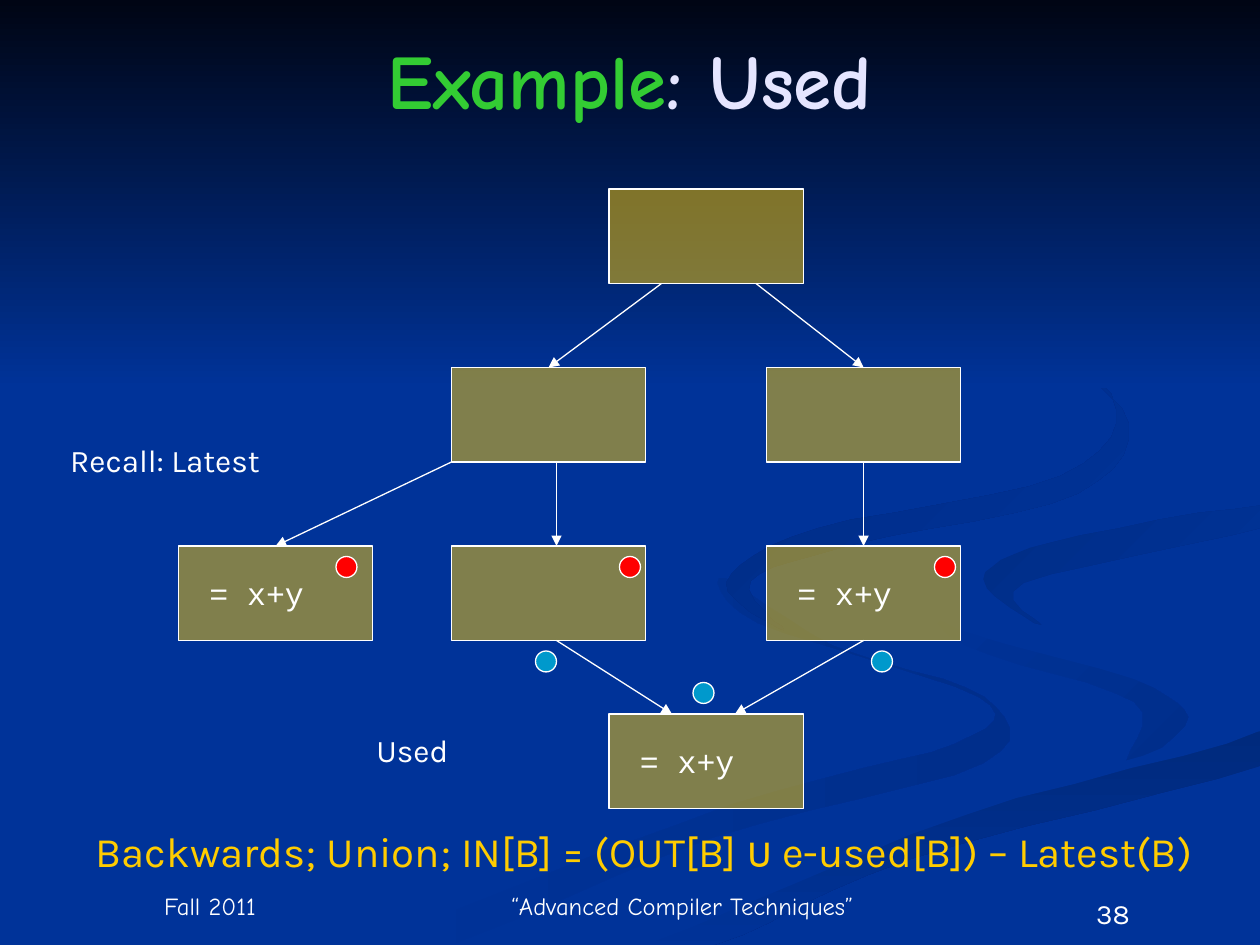
from pptx import Presentation
from pptx.dml.color import RGBColor
from pptx.enum.shapes import MSO_CONNECTOR, MSO_SHAPE
from pptx.enum.text import MSO_ANCHOR, PP_ALIGN
from pptx.oxml import parse_xml
from pptx.oxml.ns import nsdecls
from pptx.util import Pt

WHITE, GOLD, NAVY, RED, CYAN = "FFFFFF", "FFCC00", "003399", "FF0000", "0099CC"
TOP, BOTTOM = 0, 2
NODE_W, NODE_H, DOT = 111, 54, 12
COLUMN, HALF_COLUMN, ROW = 180, 90, 102

# Backdrop ribbons: knots of a smooth outline, gradient start, gradient end, angle
RIBBONS = [
    ([(562, 398), (476, 369), (414, 330), (433, 356), (559, 398), (546, 425), (417, 460),
      (216, 539), (260, 539), (406, 479), (562, 436)], NAVY, "002E8B", 0),
    ([(679, 410), (639, 385), (546, 359), (521, 334), (552, 369), (648, 401), (644, 436)],
     NAVY, "002E8B", 45),
    ([(362, 539), (411, 539), (520, 491), (719, 438), (719, 418), (550, 466)],
     "002A7D", NAVY, 90),
    ([(522, 334), (546, 359), (662, 394), (670, 425), (507, 472), (343, 539), (374, 538),
      (551, 466), (719, 418), (719, 387), (599, 359), (576, 318), (719, 289), (719, 279),
      (567, 304)], NAVY, NAVY, 0),
    ([(562, 331), (595, 357), (585, 333), (719, 302), (719, 289), (601, 310)],
     "002D86", NAVY, 45),
    ([(492, 310), (616, 282), (641, 233), (549, 168), (635, 225), (606, 272), (467, 302),
      (415, 333), (448, 360), (429, 332)], "002B82", NAVY, 45),
]


def rgb(value):
    return RGBColor.from_string(value)


def smooth_outline(knots, steps=6):
    """Closed Catmull-Rom curve through the knots."""
    points = []
    for i, p1 in enumerate(knots):
        p0, p2, p3 = (knots[(i + k) % len(knots)] for k in (-1, 1, 2))
        for t in (step / steps for step in range(steps)):
            points.append(tuple(
                b + t * ((c - a) + t * ((2 * a - 5 * b + 4 * c - d)
                                        + t * (3 * b - a - 3 * c + d))) / 2
                for a, b, c, d in zip(p0, p1, p2, p3)))
    return points


def paint_gradient(shape, start, end, angle):
    shape.shadow.inherit = False
    shape.line.fill.background()
    shape.fill.gradient()
    shape.fill.gradient_angle = (360 - angle) % 360
    for stop, color in zip(shape.fill.gradient_stops, (start, end)):
        stop.color.rgb = rgb(color)


def add_outlined(slide, kind, left, top, width, height, color):
    shape = slide.shapes.add_shape(kind, Pt(left), Pt(top), Pt(width), Pt(height))
    shape.shadow.inherit = False
    shape.fill.solid()
    shape.fill.fore_color.rgb = rgb(color)
    shape.line.color.rgb = rgb(WHITE)
    shape.line.width = Pt(0.75)
    return shape


def add_text(slide, box, runs, size, font="Karla", color=WHITE, align=PP_ALIGN.LEFT,
             anchor=MSO_ANCHOR.TOP, wrap=False):
    """Place one paragraph; runs are (text, overrides of the paragraph font)."""
    frame = slide.shapes.add_textbox(*map(Pt, box)).text_frame
    frame.word_wrap = wrap
    frame.vertical_anchor = anchor
    paragraph = frame.paragraphs[0]
    paragraph.alignment = align
    paragraph.font.size = Pt(size)
    paragraph.font.name = font
    paragraph.font.color.rgb = rgb(color)
    for text, overrides in runs:
        run = paragraph.add_run()
        run.text = text
        if "font" in overrides:
            run.font.name = overrides["font"]
        if "color" in overrides:
            run.font.color.rgb = rgb(overrides["color"])
    return paragraph


def add_backdrop(slide, width, height):
    slide.background.fill.solid()
    slide.background.fill.fore_color.rgb = rgb(NAVY)
    for knots, start, end, angle in RIBBONS:
        outline = smooth_outline(knots)
        builder = slide.shapes.build_freeform(*outline[0], scale=Pt(1))
        builder.add_line_segments(outline[1:], close=True)
        paint_gradient(builder.convert_to_shape(), start, end, angle)
    # Dark fade across the top
    fade = slide.shapes.add_shape(MSO_SHAPE.RECTANGLE, 0, 0, Pt(width), Pt(height))
    paint_gradient(fade, "000514", NAVY, 90)


def add_node(slide, left, top, expression):
    node = add_outlined(slide, MSO_SHAPE.RECTANGLE, left, top, NODE_W, NODE_H, GOLD)
    node.fill._xPr.solidFill[0].append(
        parse_xml(f'<a:alpha {nsdecls("a")} val="50000"/>'))
    if expression:
        frame = node.text_frame
        frame.vertical_anchor = MSO_ANCHOR.MIDDLE
        frame.margin_right = Pt(28.8)
        paragraph = frame.paragraphs[0]
        paragraph.text = expression
        paragraph.alignment = PP_ALIGN.CENTER
        paragraph.font.size = Pt(18)
        paragraph.font.name = "Courier New"
        paragraph.font.color.rgb = rgb(WHITE)
    return node


def add_flow_graph(slide, left, top):
    use = "= x+y"
    first = left + 156
    center, last = first + HALF_COLUMN, first + COLUMN
    second_row, third_row, exit_row = top + ROW, top + 2 * ROW, top + 300
    places = {
        "entry": (center, top, ""),
        "left": (first, second_row, ""), "right": (last, second_row, ""),
        "far use": (left, third_row, use), "middle": (first, third_row, ""),
        "right use": (last, third_row, use),
        "exit": (center, exit_row, use),
    }
    nodes = {name: add_node(slide, *place) for name, place in places.items()}

    # Edges leave a bottom side and enter a top side; None means the side's middle
    edges = [("entry", 30, "left", None), ("entry", 84, "right", None),
             ("left", 60, "middle", 60), ("right", None, "right use", None),
             ("middle", 60, "exit", 36), ("right use", None, "exit", 72),
             ("left", 0, "far use", None)]
    for source, start, target, end in edges:
        x1, y1, _ = places[source]
        x2, y2, _ = places[target]
        edge = slide.shapes.add_connector(
            MSO_CONNECTOR.STRAIGHT,
            Pt(x1 + (start or 0)), Pt(y1 + NODE_H), Pt(x2 + (end or 0)), Pt(y2))
        if start is None:
            edge.begin_connect(nodes[source], BOTTOM)
        if end is None:
            edge.end_connect(nodes[target], TOP)
        edge.line.color.rgb = rgb(WHITE)
        edge.line.width = Pt(0.75)
        edge.line._get_or_add_ln().append(
            parse_xml(f'<a:tailEnd {nsdecls("a")} type="triangle"/>'))
        edge._element.spPr.append(parse_xml(f'<a:effectLst {nsdecls("a")}/>'))

    # Red dots mark Latest, blue dots mark Used
    dots = [("right use", 96, 6, RED), ("middle", 96, 6, RED), ("far use", 90, 6, RED),
            ("right use", 60, 60, CYAN), ("middle", 48, 60, CYAN), ("exit", 48, -18, CYAN)]
    for name, dx, dy, color in dots:
        x, y, _ = places[name]
        add_outlined(slide, MSO_SHAPE.OVAL, x + dx, y + dy, DOT, DOT, color)


def add_footer(slide, top):
    centered = dict(align=PP_ALIGN.CENTER, wrap=True)
    label = dict(font="Comic Neue", anchor=MSO_ANCHOR.BOTTOM, **centered)
    add_text(slide, (36, top, 168, 25.5), [("Fall 2011", {})], 14, **label)
    add_text(slide, (276, top, 228, 25.5),
             [("“Advanced Compiler Techniques”", {})], 14, **label)
    add_text(slide, (576, top + 5, 120, 29), [("38", {})], 16, **centered)


def main():
    deck = Presentation()
    deck.slide_width, deck.slide_height = Pt(720), Pt(540)
    slide = deck.slides.add_slide(deck.slide_layouts[6])
    add_backdrop(slide, 720, 222)
    add_footer(slide, 504)
    title = add_text(slide, (0, 0, 720, 90), [("Example", {"color": "33CC33"}), (": Used", {})],
                     44, "Comic Neue", "E5E5FF", PP_ALIGN.CENTER, MSO_ANCHOR.MIDDLE, True)
    title.font.bold = True
    add_flow_graph(slide, 102, 108)
    # Captions and data-flow equation
    add_text(slide, (33, 248.5, 125, 29), [("Recall: Latest", {})], 18)
    add_text(slide, (208, 414, 57, 29), [("Used", {})], 18)
    add_text(slide, (47.5, 468, 669, 36),
             [("Backwards; Union; IN[B] = (OUT[B] ", {}), ("∪", {"font": "DejaVu Sans Mono"}),
              (" e-used[B]) – Latest(B)", {})], 24, color=GOLD)
    deck.save("out.pptx")


if __name__ == "__main__":
    main()
